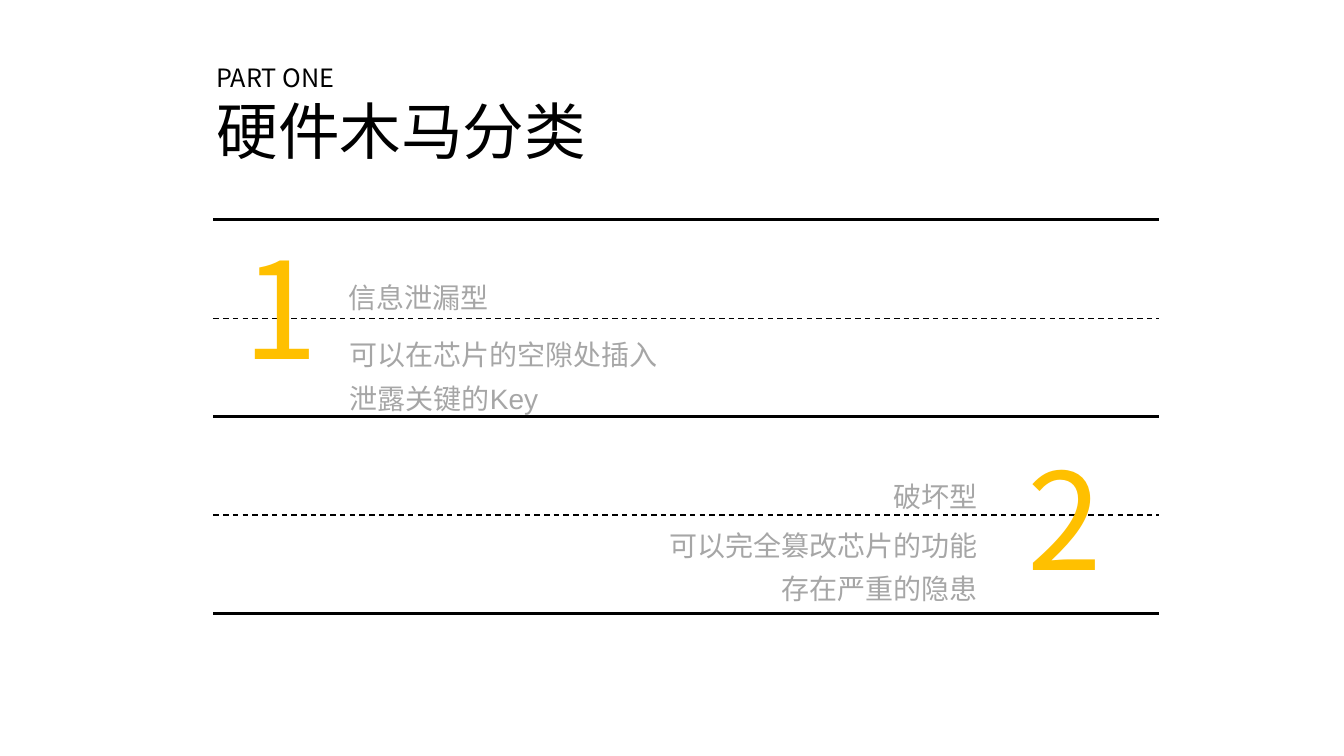
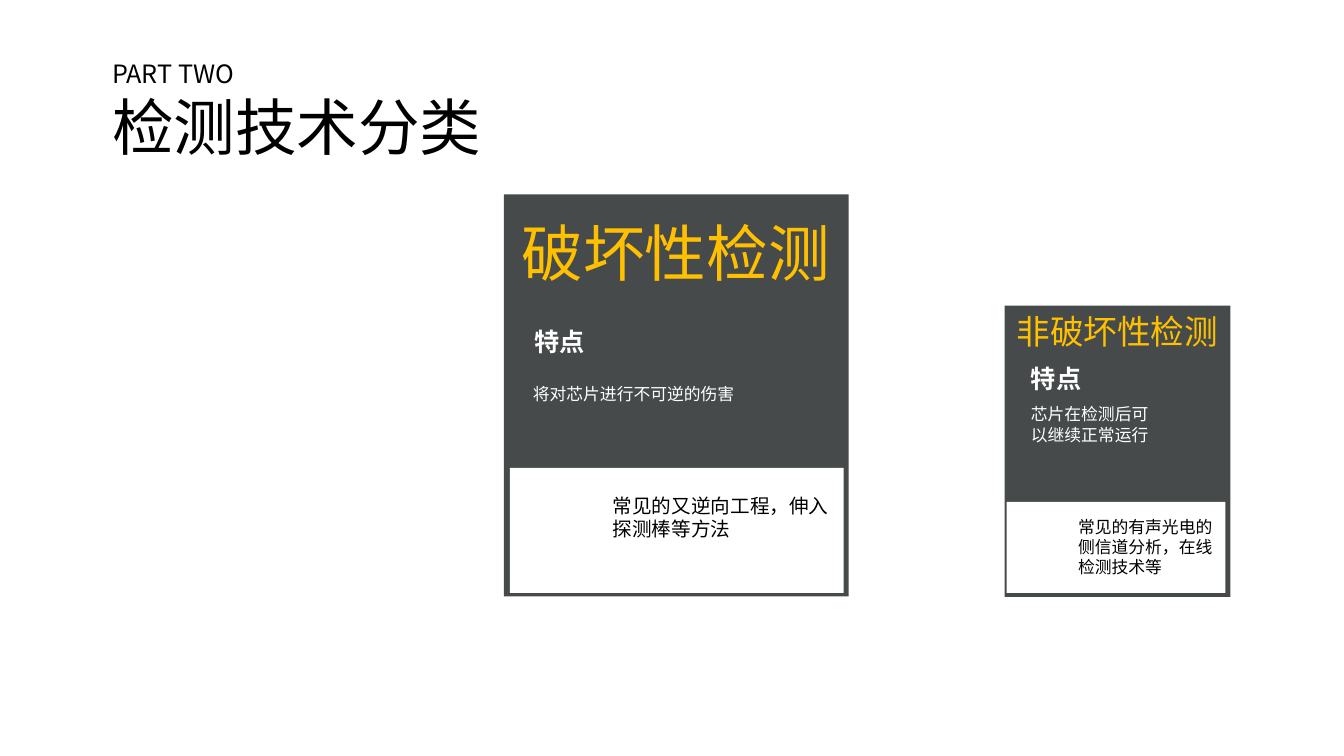
from lxml.etree import SubElement
from pptx import Presentation
from pptx.dml.color import RGBColor
from pptx.enum.dml import MSO_LINE
from pptx.enum.shapes import MSO_CONNECTOR, MSO_SHAPE
from pptx.enum.text import MSO_ANCHOR, MSO_AUTO_SIZE, PP_ALIGN
from pptx.oxml.ns import qn
from pptx.util import Cm, Pt

BLACK, WHITE, GREY = "000000", "FFFFFF", "A6A6A6"
YELLOW, DARK = "FFC000", "464A4A"
HAN, NUMERAL, LATIN = "Noto Sans CJK SC", "Noto Sans CJK JP", "Arial"
LEFT, RIGHT = PP_ALIGN.LEFT, PP_ALIGN.RIGHT


def write(box, place, rows, color, font=HAN, align=LEFT, spacing=None, bold=False):
    """Place a text shape (in cm) and fill it with rows of (text, size)."""
    box.left, box.top, box.width, box.height = [Cm(length) for length in place]
    frame = box.text_frame
    frame.word_wrap = True
    frame.auto_size = MSO_AUTO_SIZE.NONE
    frame.vertical_anchor = MSO_ANCHOR.TOP
    frame.text = "\n".join(text for text, size in rows)
    for para, (text, size) in zip(frame.paragraphs, rows):
        para.alignment = align
        if spacing:
            para.line_spacing = spacing
        para.font.size = Pt(size)
        para.font.bold = bold
        para.font.name = font
        para.font.color.rgb = RGBColor.from_string(color)
        east_asian = HAN if font == LATIN else font
        SubElement(para._p.pPr.find(qn("a:defRPr")), qn("a:ea"), typeface=east_asian)


def add_titled_page(part, heading, left, top):
    page = deck.slides.add_slide(deck.slide_layouts.get_by_name("Title Only"))
    title = page.shapes.title
    write(title, (left, top, 12, 2.9), [(part, 18), (heading, 44)], BLACK)
    title.text_frame.paragraphs[0]._p.pPr.set("marL", str(Cm(0.15)))
    return page


deck = Presentation()
deck.slide_width, deck.slide_height = Cm(33.87), Cm(19.05)

# Types of hardware trojan
page = add_titled_page("PART ONE", "硬件木马分类", 5.05, 1.45)
for index in range(5):
    y = Cm(5.54 + 2.48 * index)
    rule = page.shapes.add_connector(MSO_CONNECTOR.STRAIGHT, Cm(5.38), y, Cm(29.21), y)
    rule.line.color.rgb = RGBColor.from_string(BLACK)
    rule.line.width = Pt(2.25)
    if index % 2:
        rule.line.width = Pt(1)
        rule.line.dash_style = MSO_LINE.DASH
    SubElement(rule._element.spPr, qn("a:effectLst"))

for numeral, left, top in [("1", 5.89, 5.54), ("2", 25.65, 10.87)]:
    box = page.shapes.add_textbox(0, 0, 0, 0)
    write(box, (left, top, 2.5, 4.37), [(numeral, 96)], YELLOW, NUMERAL)

trojan_texts = [
    (8.53, 6.68, 1.27, LEFT, ["信息泄漏型"]),
    (8.56, 8.13, 2.39, LEFT, ["可以在芯片的空隙处插入", "泄露关键的Key"]),
    (7.01, 11.71, 1.27, RIGHT, ["破坏型"]),
    (7.01, 12.93, 2.39, RIGHT, ["可以完全篡改芯片的功能", "存在严重的隐患"]),
]
for left, top, height, align, lines in trojan_texts:
    box = page.shapes.add_textbox(0, 0, 0, 0)
    rows = [(line, 20) for line in lines]
    write(box, (left, top, 17.88, height), rows, GREY, LATIN, align, 1.3)

# Types of detection
page = add_titled_page("PART TWO", "检测技术分类", 2.42, 1.35)
cards = [
    {
        "panels": [(12.7, 4.9, 8.69, 10.13), (12.85, 11.79, 8.41, 3.15)],
        "texts": [
            ((12.9, 5.28, 8.5, 2.13), "破坏性检测", 44, YELLOW),
            ((13.21, 8.1, 2.41, 1.02), "特点", 18, WHITE),
            ((13.18, 9.55, 6, 0.76), "将对芯片进行不可逆的伤害", 12, WHITE),
            ((15.19, 12.32, 6.17, 1.45), "常见的又逆向工程，伸入探测棒等方法", 14, BLACK),
        ],
    },
    {
        "panels": [(25.32, 7.7, 5.69, 7.34), (25.37, 12.65, 5.51, 2.29)],
        "texts": [
            ((25.37, 7.7, 5.7, 1.27), "非破坏性检测", 24, YELLOW),
            ((25.73, 9.02, 2.41, 1.02), "特点", 18, WHITE),
            ((25.73, 10.06, 3.84, 1.27), "芯片在检测后可以继续正常运行", 12, WHITE),
            ((26.92, 12.9, 4.04, 1.8), "常见的有声光电的侧信道分析，在线检测技术等", 12, BLACK),
        ],
    },
]
for card in cards:
    for place, color in zip(card["panels"], (DARK, WHITE)):
        panel = page.shapes.add_shape(MSO_SHAPE.RECTANGLE, *[Cm(length) for length in place])
        panel.shadow.inherit = False
        panel.fill.solid()
        panel.fill.fore_color.rgb = RGBColor.from_string(color)
        panel.line.fill.background()
    for place, text, size, color in card["texts"]:
        box = page.shapes.add_textbox(0, 0, 0, 0)
        write(box, place, [(text, size)], color, bold=text == "特点")

deck.save("out.pptx")
